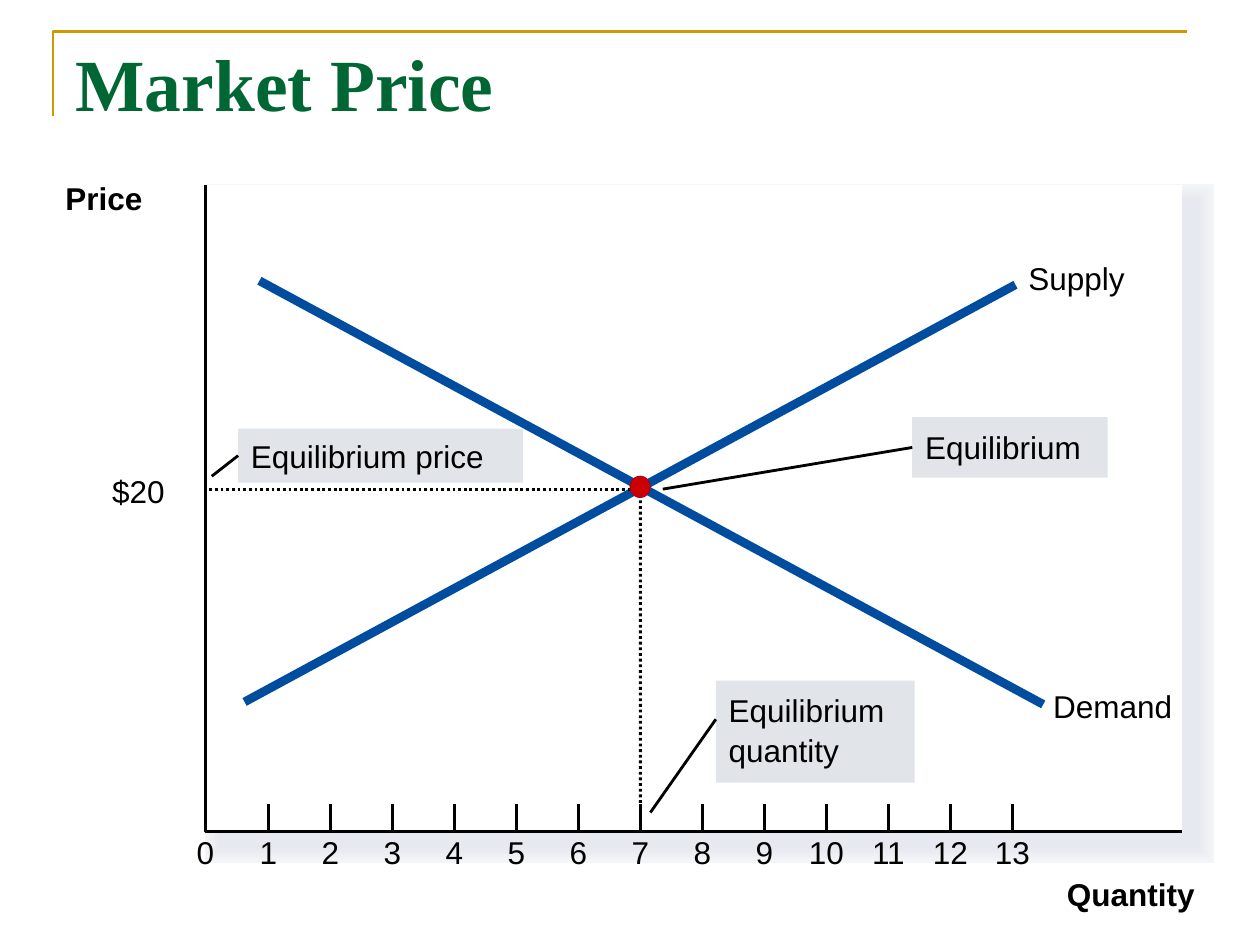
"""Build the Market Price slide: a supply and demand diagram with its equilibrium."""
from dataclasses import dataclass

from lxml.etree import SubElement
from pptx import Presentation
from pptx.dml.color import RGBColor
from pptx.enum.dml import MSO_LINE
from pptx.enum.shapes import MSO_CONNECTOR, MSO_SHAPE
from pptx.enum.text import MSO_ANCHOR, PP_ALIGN
from pptx.oxml.ns import qn
from pptx.util import Cm, Pt


@dataclass(frozen=True)
class Theme:
    title_font: str = "Times New Roman"
    font: str = "Arial"
    title_size: float = 42
    size: float = 18
    title: str = "006633"
    bracket: str = "CC9900"
    ink: str = "000000"
    plot: str = "FFFFFF"
    callout: str = "E1E5E9"
    curve: str = "004C9F"
    dot: str = "CC0000"
    dot_edge: str = "A50021"
    shadow: tuple = ("F3F6F9", "F2F4F8", "F1F4F7", "F0F2F5", "EEF1F4", "EDEFF3",
                     "EBEEF2", "EAECF1", "E9EBF0", "E7EAEF", "E6E9EF")
    thin: float = 1.62
    thick: float = 5


def write(s, text, align=PP_ALIGN.LEFT, bold=False, inset=0):
    tf = s.text_frame
    tf.text = text
    tf.word_wrap = False
    tf.margin_left = Cm(inset)
    tf.margin_right = tf.margin_top = tf.margin_bottom = 0
    for p in tf.paragraphs:
        p.alignment = align
        for r in p.runs:
            r.font.name, r.font.size, r.font.bold = theme.font, Pt(theme.size), bold
            r.font.color.rgb = RGBColor.from_string(theme.ink)


def draw_line(x1, y1, x2, y2, color, width):
    s = sp.add_connector(MSO_CONNECTOR.STRAIGHT, Cm(x1), Cm(y1), Cm(x2), Cm(y2))
    s.line.color.rgb = RGBColor.from_string(color)
    s.line.width = Pt(width)
    SubElement(s._element.spPr, qn("a:effectLst"))
    return s


theme = Theme()
prs = Presentation()
prs.slide_width, prs.slide_height = Cm(25.4), Cm(19.05)
slide = prs.slides.add_slide(prs.slide_layouts[5])
sp = slide.shapes

title = sp.title
title.left, title.top, title.width, title.height = Cm(1.27), Cm(0.64), Cm(22.86), Cm(2.97)
title.text_frame.text = "Market Price"
title.text_frame.vertical_anchor = MSO_ANCHOR.TOP
p = title.text_frame.paragraphs[0]
p.alignment = PP_ALIGN.LEFT
r = p.runs[0]
r.font.name, r.font.size, r.font.bold = theme.title_font, Pt(theme.title_size), True
r.font.color.rgb = RGBColor.from_string(theme.title)

left, top, width, height = 4.14, 3.73, 19.69, 13.03
right, bottom = left + width, top + height
offset = 0.31
layers = [(color, offset, 18.5 - 1.69 * i) for i, color in enumerate(theme.shadow)]
for color, shift, edge in layers + [(theme.plot, 0, 0)]:
    s = sp.add_shape(MSO_SHAPE.RECTANGLE, Cm(left + shift), Cm(top + shift),
                     Cm(width), Cm(height))
    s.shadow.inherit = False
    s.fill.solid()
    s.fill.fore_color.rgb = RGBColor.from_string(color)
    if edge:
        s.line.color.rgb = RGBColor.from_string(color)
        s.line.width = Pt(edge)
        SubElement(s.line._ln, qn("a:miter"), lim="800000")
    else:
        s.line.fill.background()

first_tick, step = 5.41, 1.25
ticks = [first_tick + step * i for i in range(13)]
for x in ticks:
    draw_line(x, bottom - 0.55, x, bottom, theme.ink, theme.thin)

label_width, label_height = 1, 0.76
for n, x in enumerate([left] + ticks):
    s = sp.add_textbox(Cm(x - label_width / 2), Cm(16.79), Cm(label_width), Cm(label_height))
    write(s, str(n), PP_ALIGN.CENTER)

eq_x, eq_y = 12.9, 9.86
callouts = [
    ("Equilibrium\nquantity", 14.43, 13.72, 4.01, 2.06, 13.11, 16.38, None),
    ("Equilibrium price", 4.8, 8.64, 5.74, 1.09, 4.27, 9.6, 1),
    ("Equilibrium", 18.39, 8.41, 3.94, 1.22, 13.36, eq_y, 1),
]
for text, x, y, w, h, tip_x, tip_y, site in callouts:
    s = sp.add_shape(MSO_SHAPE.RECTANGLE, Cm(x), Cm(y), Cm(w), Cm(h))
    s.shadow.inherit = False
    s.fill.solid()
    s.fill.fore_color.rgb = RGBColor.from_string(theme.callout)
    s.line.fill.background()
    write(s, text, inset=0.26)
    s.text_frame.vertical_anchor = MSO_ANCHOR.MIDDLE
    if "\n" in text:
        s.text_frame.margin_bottom = Cm(0.12)
        for p in s.text_frame.paragraphs:
            p.line_spacing = Pt(23)
    leader = draw_line(x, 14.5, tip_x, tip_y, theme.ink, theme.thin)
    if site is not None:
        leader.begin_connect(s, site)

draw_line(20.47, 5.74, 4.93, 14.15, theme.curve, theme.thick)
draw_line(5.23, 5.66, 21.03, 14.2, theme.curve, theme.thick)
price_line = draw_line(4.22, eq_y, eq_x, eq_y, theme.ink, theme.thin)
price_line.line.dash_style = MSO_LINE.ROUND_DOT

outlines = [
    ([(1.07, 2.34), (1.07, 0.64), (23.93, 0.64)], theme.bracket, 1.5, None),
    ([(left, top), (left, bottom), (right, bottom)], theme.ink, theme.thin, None),
    ([(eq_x, eq_y), (ticks[6], 10.03), (ticks[6], bottom - 0.55)],
     theme.ink, theme.thin, MSO_LINE.ROUND_DOT),
]
for points, color, weight, dash in outlines:
    start, *rest = [(round(x * 100), round(y * 100)) for x, y in points]
    builder = sp.build_freeform(*start, scale=Cm(0.01))
    builder.add_line_segments(rest, close=False)
    s = builder.convert_to_shape()
    s.shadow.inherit = False
    s.fill.background()
    s.line.color.rgb = RGBColor.from_string(color)
    s.line.width = Pt(weight)
    if dash:
        s.line.dash_style = dash

dot = sp.add_shape(MSO_SHAPE.OVAL, Cm(12.7), Cm(9.6), Cm(0.41), Cm(0.43))
dot.shadow.inherit = False
dot.fill.solid()
dot.fill.fore_color.rgb = RGBColor.from_string(theme.dot)
dot.line.color.rgb = RGBColor.from_string(theme.dot_edge)
dot.line.width = Pt(0.5)

labels = [
    ("Price", 1.32, 3.61, 1.8, True),
    ("Quantity", 21.51, 17.63, 2.9, True),
    ("Supply", 20.73, 5.22, 2.2, False),
    ("Demand", 21.23, 13.84, 2.6, False),
    ("$20", 2.26, 9.51, 1.3, False),
]
for text, x, y, w, bold in labels:
    s = sp.add_textbox(Cm(x), Cm(y), Cm(w), Cm(label_height))
    write(s, text, bold=bold)

prs.save("out.pptx")
